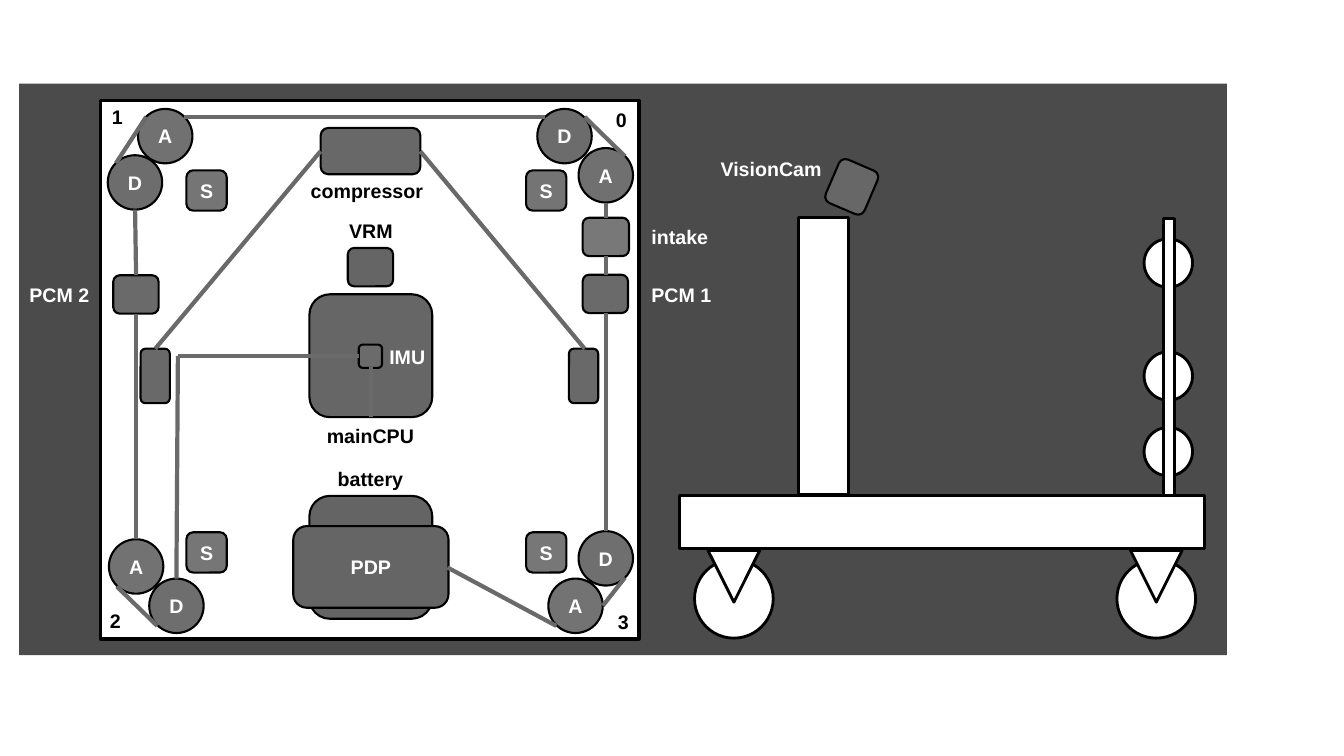
from lxml import etree
from pptx import Presentation
from pptx.dml.color import RGBColor
from pptx.enum.shapes import MSO_CONNECTOR, MSO_SHAPE
from pptx.enum.text import MSO_ANCHOR, PP_ALIGN
from pptx.oxml.ns import qn
from pptx.util import Pt

RECT, OVAL = MSO_SHAPE.RECTANGLE, MSO_SHAPE.OVAL
ROUND, WEDGE = MSO_SHAPE.ROUNDED_RECTANGLE, MSO_SHAPE.ISOSCELES_TRIANGLE
LINE, CENTER, MIDDLE = MSO_CONNECTOR.STRAIGHT, PP_ALIGN.CENTER, MSO_ANCHOR.MIDDLE
BLACK, WHITE, DARK, WIRE, HOSE = "000000", "FFFFFF", "4B4B4B", "6A6A6A", "696969"
FONT, SIZE = "Arial", 14

PANEL = (13.7, 59.8, 862.6, 408.2)
FRAME = (72, 72, 384.5, 384.5)

# Top view: left, top, width, height, fill, label
BOXES = [
    (221, 354.2, 87.8, 87.8, "646464", ""),        # battery
    (221, 210.2, 87.8, 87.8, "666666", ""),        # controller
    (209.5, 375.8, 110.9, 58.3, "656565", "PDP"),
    (80.9, 196.6, 32.4, 27.4, "6A6A6A", ""),       # PCM 2
    (416.2, 196.2, 32.4, 27.4, "6A6A6A", ""),      # PCM 1
    (248.4, 177.1, 32.4, 27.4, "656565", ""),      # VRM
    (100.4, 249.1, 20.9, 38.9, "696969", ""),      # left tank
    (406.4, 249.1, 20.9, 38.9, "696969", ""),      # right tank
    (256.3, 246.2, 16.6, 16.6, "6B6B6B", ""),      # IMU
    (229, 91.4, 71.3, 33.1, "686868", ""),         # compressor
    (416.2, 155.5, 33.1, 27.4, "787878", ""),      # intake
]
# Motors: left, top, fill, label
MOTOR = 38.9
MOTORS = [
    (77, 110.9, "6D6D6D", "D"), (98.6, 77.8, "717171", "A"),
    (391.7, 413.3, "737373", "A"), (413.3, 379.4, "6F6F6F", "D"),
    (106.6, 413.3, "6E6E6E", "D"), (77.8, 385.2, "727272", "A"),
    (413.3, 105.8, "707070", "A"), (383.8, 77.8, "6C6C6C", "D"),
]
# Sensors: left, top, fill
SENSOR = 28.8
SENSORS = [(375.8, 121.7, "747474"), (133.2, 121.7, "757575"),
           (133.2, 380.2, "767676"), (375.8, 380.2, "777777")]

# Each path is a list of points: x, y
WIRES = [
    [(265, 298), (265, 262)],
    [(256.3, 254.2), (127.1, 254.2), (126, 413.3)],
    [(83.5, 419), (112.3, 447.1)],
    [(97.2, 224), (97.2, 385.2)],
    [(97.2, 196.6), (96.5, 149.8)],
    [(82.8, 116.6), (104.4, 83.5)],
    [(131.8, 83.5), (389.5, 83.5)],
    [(417.6, 83.5), (446.4, 111.6)],
    [(432.7, 144.7), (432.7, 155.5)],
    [(432.7, 182.9), (432.7, 196.2)],
    [(432.7, 223.9), (432.7, 379.4)],
    [(446.4, 412.6), (430.6, 432.7)],
    [(319.7, 405.4), (397.4, 447.1)],
]
HOSES = [[(110.9, 249.1), (229, 108)], [(300.2, 108), (417.6, 249.1)]]

# Side view
DECK = (485.3, 354.2, 375.1, 37.4)
TOWER = (570.2, 155.5, 36, 198)
MAST = (830.9, 156.2, 7.9, 198)
CAMERA, TILT = (593.3, 116.6, 30.2, 33.8), 23.2
WHEELS, WHEEL, FORK = (496.1, 797.8), 56.2, 37
ROLLERS, ROLLER = (305.3, 251.3, 170.6), 34.6

# Labels: centre x, centre y, width, colour, text
HIGH = 24.2
LABELS = [
    (550.8, 120.2, 82, WHITE, "VisionCam"),
    (262.1, 136.1, 95, BLACK, "compressor"),
    (443.9, 85.7, 22, BLACK, "0"), (83.9, 83.5, 22, BLACK, "1"),
    (82.4, 443.5, 22, BLACK, "2"), (445.3, 444.2, 22, BLACK, "3"),
    (265, 164.9, 46, BLACK, "VRM"),
    (264.6, 311, 71, BLACK, "mainCPU"),
    (485.6, 169.2, 55, WHITE, "intake"),
    (264.6, 342, 61, BLACK, "battery"),
    (486.7, 210.2, 58, WHITE, "PCM 1"),
    (42.5, 210.2, 58, WHITE, "PCM 2"),
    (290.9, 254.9, 40, WHITE, "IMU"),
]

deck = Presentation()
deck.slide_width, deck.slide_height = Pt(960), Pt(540)
slide = deck.slides.add_slide(deck.slide_layouts[6])


def paint(part, color):
    """Give a fill or font colour from a hex string."""
    part.rgb = RGBColor.from_string(color)


def write(frame, text, color):
    """Put one bold centred line in a text frame."""
    frame.margin_left = frame.margin_right = 0
    frame.margin_top = frame.margin_bottom = 0
    frame.vertical_anchor = MIDDLE
    frame.word_wrap = False
    frame.text = text
    para = frame.paragraphs[0]
    para.alignment = CENTER
    font = para.runs[0].font
    font.name, font.size, font.bold = FONT, Pt(SIZE), True
    paint(font.color, color)


def draw(kind, place, fill=WHITE, width=2.0, text=""):
    """Add a filled shape with a black outline and a label if any."""
    shape = slide.shapes.add_shape(kind, *map(Pt, place))
    shape.shadow.inherit = False
    shape.fill.solid()
    paint(shape.fill.fore_color, fill)
    if width:
        paint(shape.line.color, BLACK)
        shape.line.width = Pt(width)
    else:
        shape.line.fill.background()
    if text:
        write(shape.text_frame, text, WHITE)
    return shape


def link(points, color):
    """Join the points with straight lines."""
    for start, end in zip(points, points[1:]):
        line = slide.shapes.add_connector(LINE, *map(Pt, start + end))
        paint(line.line.color, color)
        line.line.width = Pt(3)
        etree.SubElement(line.element.spPr, qn("a:effectLst"))


draw(RECT, PANEL, DARK, 0)
draw(RECT, FRAME, width=2.25)
*place, fill, text = BOXES[0]
draw(ROUND, place, fill, 1.5, text)
for x, y, fill, text in MOTORS:
    draw(OVAL, (x, y, MOTOR, MOTOR), fill, 1.5, text)
for *place, fill, text in BOXES[1:]:
    draw(ROUND, place, fill, 1.5, text)
for x, y, fill in SENSORS:
    draw(ROUND, (x, y, SENSOR, SENSOR), fill, 1.5, "S")
draw(ROUND, CAMERA, "676767", 1.5).rotation = TILT

for points in WIRES:
    link(points, WIRE)
for points in HOSES:
    link(points, HOSE)

draw(RECT, DECK, width=2.25)
for x in WHEELS:
    draw(OVAL, (x, 399.6, WHEEL, WHEEL))
    fork = draw(WEDGE, (x + (WHEEL - FORK) / 2, 393.1, FORK, FORK))
    fork.rotation = 180
draw(RECT, TOWER, width=2.25)
for y in ROLLERS:
    draw(OVAL, (817.2, y, ROLLER, ROLLER))
draw(RECT, MAST, width=2.25)

for x, y, wide, color, text in LABELS:
    place = (x - wide / 2, y - HIGH / 2, wide, HIGH)
    write(slide.shapes.add_textbox(*map(Pt, place)).text_frame, text, color)

deck.save("out.pptx")
